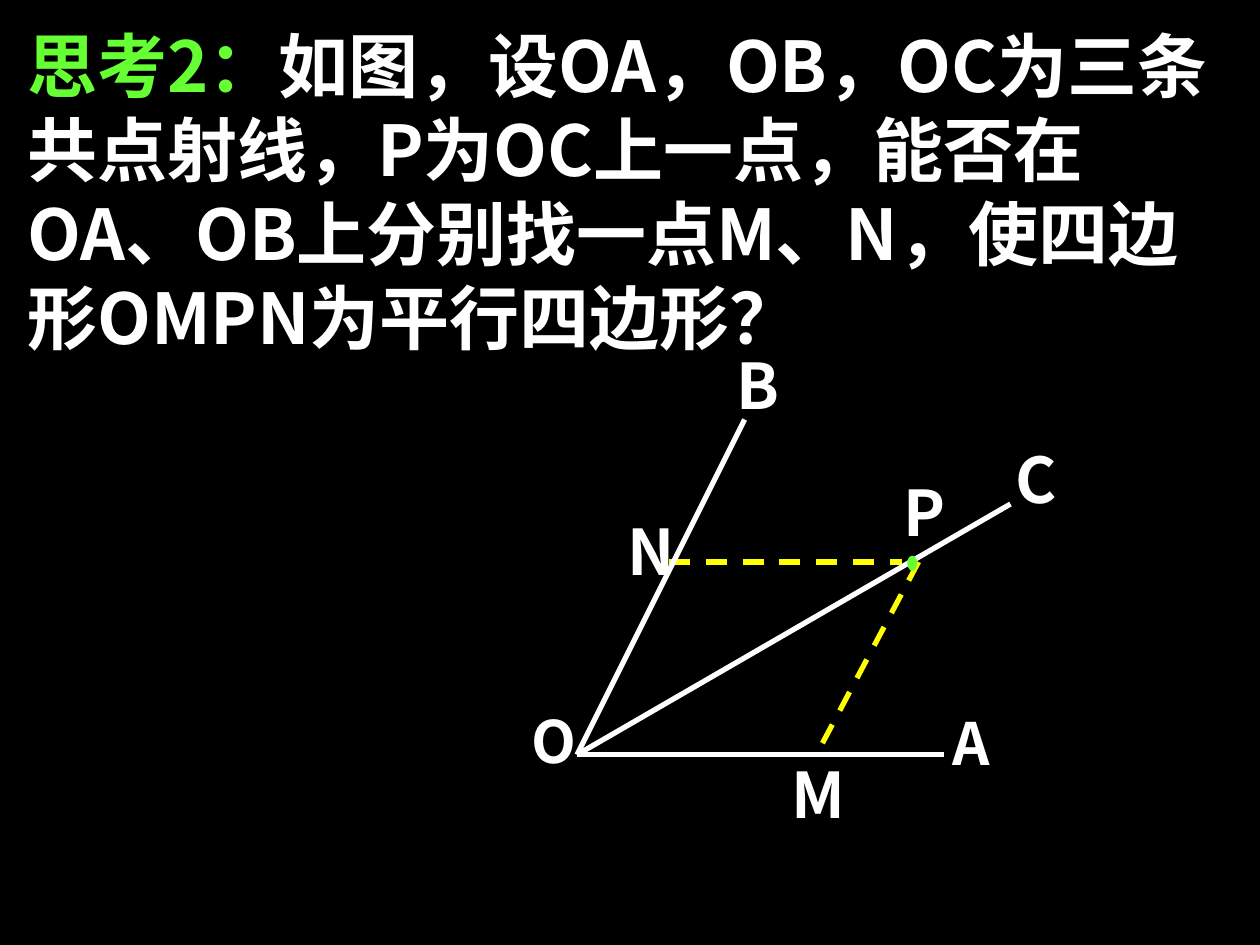
from dataclasses import dataclass

from lxml import etree
from pptx import Presentation
from pptx.dml.color import RGBColor
from pptx.enum import dml, shapes, text
from pptx.oxml import ns
from pptx.util import Inches, Pt


@dataclass(frozen=True)
class Theme:
    font: str = "Noto Sans CJK SC"
    background: RGBColor = RGBColor(0x00, 0x00, 0x00)
    ink: RGBColor = RGBColor(0xFF, 0xFF, 0xFF)
    accent: RGBColor = RGBColor(0x66, 0xFF, 0x33)
    helper: RGBColor = RGBColor(0xFF, 0xFF, 0x00)
    question: float = 40
    label: float = 36
    small_label: float = 33.3
    stroke: float = 3


THEME = Theme()


def add_text(slide, box, runs, size, align=None, spacing=None):
    frame = slide.shapes.add_textbox(*map(Inches, box)).text_frame
    frame.word_wrap = True
    paragraph = frame.paragraphs[0]
    if align is not None:
        paragraph.alignment = align
    if spacing is not None:
        paragraph.line_spacing = spacing
    paragraph.font.size = Pt(size)
    paragraph.font.bold = True
    paragraph.font.name = THEME.font
    for wording, color in runs:
        run = paragraph.add_run()
        run.text = wording
        run.font.color.rgb = color
        east_asian = etree.SubElement(run.font._element, ns.qn("a:ea"))
        east_asian.set("typeface", THEME.font)


def add_segment(slide, start, end, color, dashed=False):
    segment = slide.shapes.add_connector(
        shapes.MSO_CONNECTOR.STRAIGHT, *map(Inches, start + end))
    segment.line.color.rgb = color
    segment.line.width = Pt(THEME.stroke)
    if dashed:
        segment.line.dash_style = dml.MSO_LINE.DASH
    etree.SubElement(segment._element.spPr, ns.qn("a:effectLst"))


def add_question(slide, box):
    add_text(slide, box, [
        ("思考2：", THEME.accent),
        ("如图，设OA，OB，OC为三条共点射线，P为OC上一点，能否在OA、OB上分别找"
         "一点M、N，使四边形OMPN为平行四边形？", THEME.ink),
    ], THEME.question)


def add_figure(slide, box):
    left, top = box[:2]

    def at(x, y):
        return left + x, top + y

    vertex = at(0.46, 3.29)
    helpers = [(at(3.17, 1.76), at(2.38, 3.25)), (at(1.19, 1.76), at(3.04, 1.76))]
    for start, end in helpers:
        add_segment(slide, start, end, THEME.helper, dashed=True)
    for ray_end in (at(3.37, 3.29), at(1.79, 0.63), at(3.9, 1.3)):
        add_segment(slide, vertex, ray_end, THEME.ink)

    labels = [
        ("M", 2.06, 3.25, 0.63, 0.76, THEME.label, None),
        ("N", 0.76, 1.32, 0.59, 0.79, THEME.label, None),
        ("O", 0, 2.91, 0.47, 0.69, THEME.small_label, 0.9),
        ("A", 3.34, 2.93, 0.57, 0.69, THEME.small_label, 0.9),
        ("B", 1.63, 0, 0.66, 0.79, THEME.label, None),
        ("C", 3.84, 0.75, 0.48, 0.73, THEME.label, None),
        ("P", 2.95, 1.01, 0.64, 0.72, THEME.label, None),
    ]
    for letter, x, y, width, height, size, spacing in labels:
        add_text(slide, at(x, y) + (width, height), [(letter, THEME.ink)],
                 size, text.PP_ALIGN.JUSTIFY, spacing)

    point_p = slide.shapes.add_shape(
        shapes.MSO_SHAPE.OVAL, *map(Inches, at(3.08, 1.71) + (0.08, 0.12)))
    point_p.shadow.inherit = False
    point_p.fill.solid()
    point_p.fill.fore_color.rgb = THEME.accent
    point_p.line.fill.background()


def main():
    deck = Presentation()
    deck.slide_width, deck.slide_height = Inches(10), Inches(7.5)
    slide = deck.slides.add_slide(deck.slide_layouts[6])
    slide.background.fill.solid()
    slide.background.fill.fore_color.rgb = THEME.background
    add_question(slide, (0.12, 0.13, 9.88, 2.77))
    add_figure(slide, (4.12, 2.7, 4.32, 4.01))
    deck.save("out.pptx")


if __name__ == "__main__":
    main()
